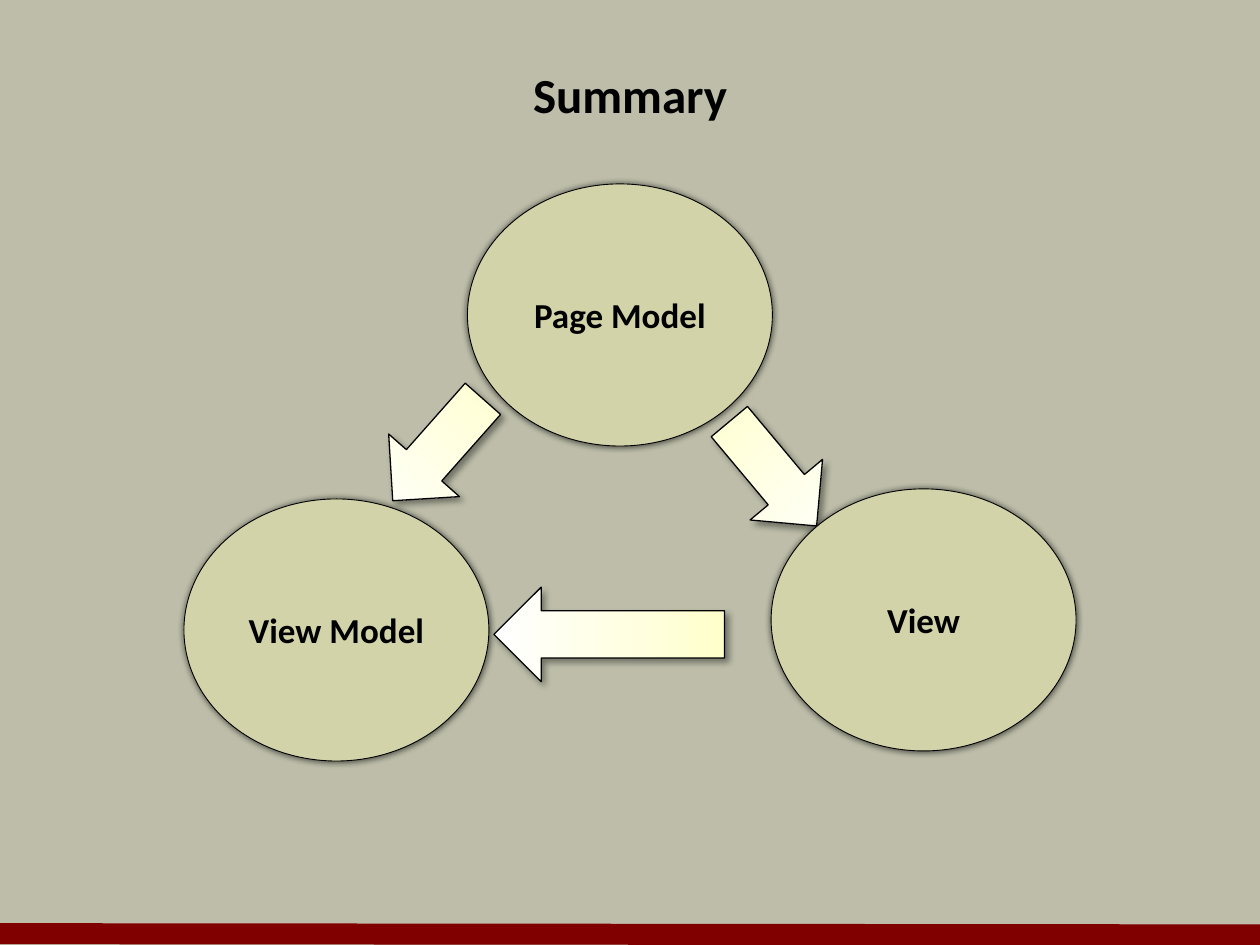
"""Build the summary slide: three models linked by block arrows."""
from lxml import etree
from pptx import Presentation
from pptx.dml.color import RGBColor
from pptx.enum.shapes import MSO_CONNECTOR, MSO_SHAPE
from pptx.enum.text import MSO_ANCHOR, PP_ALIGN
from pptx.oxml.ns import qn
from pptx.util import Inches, Pt

STRAIGHT = MSO_CONNECTOR.STRAIGHT
ELLIPSE = MSO_SHAPE.OVAL
DOWN_ARROW = MSO_SHAPE.DOWN_ARROW
MIDDLE = MSO_ANCHOR.MIDDLE
CENTER = PP_ALIGN.CENTER

BACKGROUND = RGBColor(0xBD, 0xBD, 0xA9)
MAROON = RGBColor(0x80, 0x00, 0x00)
BLACK = RGBColor(0x00, 0x00, 0x00)
OLIVE = RGBColor(0xD3, 0xD3, 0xA9)
CREAM = RGBColor(0xFF, 0xFF, 0xCC)
WHITE = RGBColor(0xFF, 0xFF, 0xFF)

FONT = "Calibri"
MODEL_SIZE = (2.42, 2.08)
MODELS = [
    ("Page Model", 3.71, 1.46),
    ("View Model", 1.46, 3.96),
    ("View", 6.12, 3.88),
]
ARROW_WIDTH = 0.75
ARROWS = [
    (5.76, 3.22, 1.08, 320.1),
    (3.1, 3.03, 1.08, 41.5),
    (4.46, 4.12, 1.83, 90),
]


def write_text(frame, text, size):
    """Write one bold, centred run into a text frame."""
    frame.vertical_anchor = MIDDLE
    para = frame.paragraphs[0]
    para.alignment = CENTER
    span = para.add_run()
    span.text = text
    span.font.name = FONT
    span.font.size = Pt(size)
    span.font.bold = True
    span.font.color.rgb = BLACK


def outline(shape, width):
    """Give a shape a thin black outline."""
    shape.line.color.rgb = BLACK
    shape.line.width = Pt(width)


def cast_shadow(shape, opacity, distance, angle):
    """Give a shape a soft black outer shadow."""
    shape.shadow.inherit = False
    effects = shape._element.spPr.find(qn("a:effectLst"))
    shadow = etree.SubElement(
        effects, qn("a:outerShdw"), blurRad=str(Pt(4)), dist=str(Pt(distance)),
        dir=str(angle * 60000), algn="ctr", rotWithShape="0")
    color = etree.SubElement(shadow, qn("a:srgbClr"), val=str(BLACK))
    etree.SubElement(color, qn("a:alpha"), val=str(opacity * 1000))


def add_title(page, text):
    """Place and fill the title placeholder."""
    title = page.shapes.title
    title.left, title.top = Inches(0.5), Inches(0.33)
    title.width, title.height = Inches(9), Inches(0.83)
    write_text(title.text_frame, text, 28)


def add_footer_band(page):
    """Draw the heavy line along the bottom edge."""
    band = page.shapes.add_connector(
        STRAIGHT, Inches(0), Inches(7.41), Inches(10), Inches(7.42))
    band.line.color.rgb = MAROON
    band.line.width = Pt(12)
    etree.SubElement(band._element.spPr, qn("a:effectLst"))


def add_arrow(page, left, top, length, rotation):
    """Add a rotated block arrow that fades to white at its tip."""
    arrow = page.shapes.add_shape(
        DOWN_ARROW, Inches(left), Inches(top), Inches(ARROW_WIDTH), Inches(length))
    arrow.rotation = rotation
    arrow.fill.gradient()
    arrow.fill.gradient_angle = 270
    for stop, color in zip(arrow.fill.gradient_stops, (CREAM, WHITE)):
        stop.color.rgb = color
    outline(arrow, 0.75)
    cast_shadow(arrow, 40, 3, 45)


def add_model(page, name, left, top):
    """Add a labelled ellipse."""
    width, height = MODEL_SIZE
    model = page.shapes.add_shape(
        ELLIPSE, Inches(left), Inches(top), Inches(width), Inches(height))
    model.fill.solid()
    model.fill.fore_color.rgb = OLIVE
    outline(model, 0.5)
    cast_shadow(model, 64, 0, 0)
    model.text_frame.word_wrap = False
    write_text(model.text_frame, name, 20)


def main():
    """Build and save the deck."""
    deck = Presentation()
    deck.slide_width, deck.slide_height = Inches(10), Inches(7.5)
    page = deck.slides.add_slide(deck.slide_layouts[5])
    page.background.fill.solid()
    page.background.fill.fore_color.rgb = BACKGROUND
    add_footer_band(page)
    add_title(page, "Summary")
    for arrow in ARROWS:
        add_arrow(page, *arrow)
    for model in MODELS:
        add_model(page, *model)
    deck.save("out.pptx")


if __name__ == "__main__":
    main()
